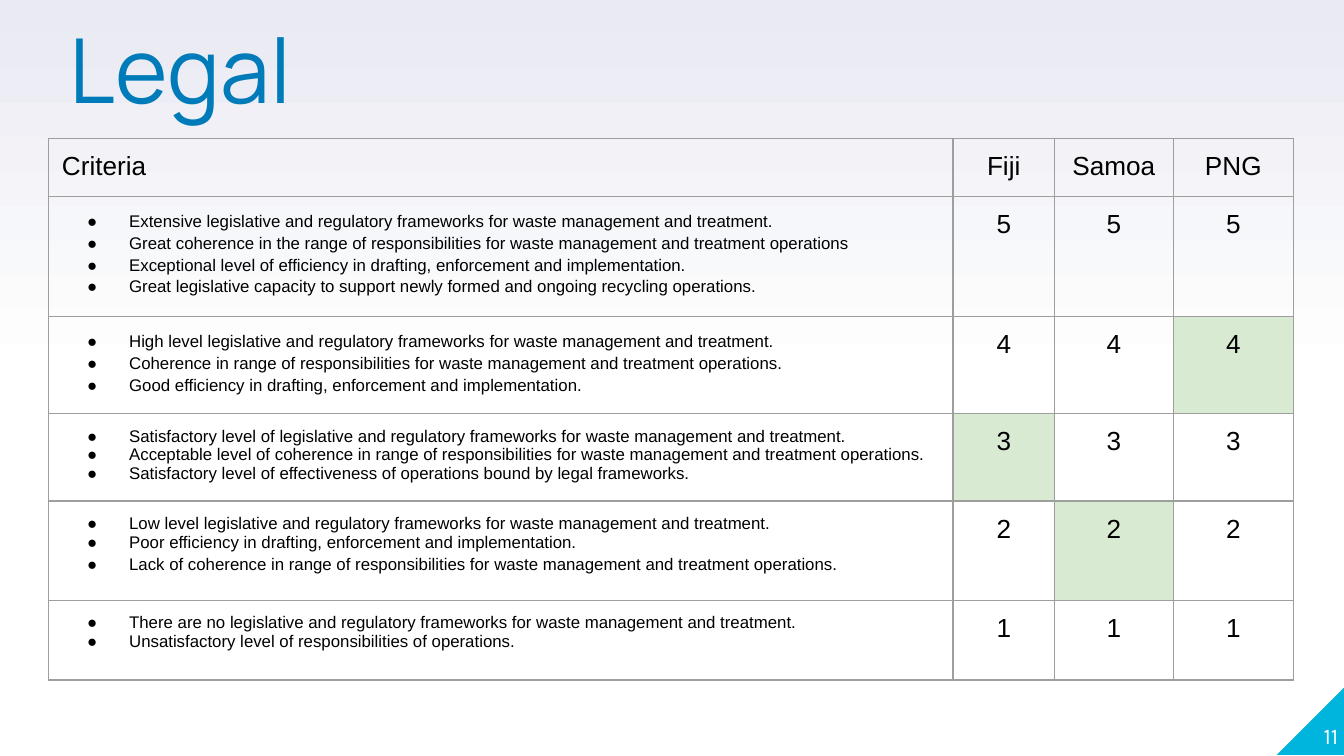
from copy import deepcopy

from pptx import Presentation
from pptx.dml.color import RGBColor
from pptx.enum.shapes import MSO_SHAPE as Shape
from pptx.enum.text import MSO_ANCHOR as Anchor, MSO_AUTO_SIZE as AutoSize, PP_ALIGN as Align
from pptx.oxml import parse_xml
from pptx.oxml.ns import nsdecls, qn
from pptx.util import Pt

BLACK = RGBColor(0, 0, 0)
WHITE = RGBColor(255, 255, 255)
LAVENDER = RGBColor(0xE9, 0xEA, 0xF2)
BLUE = RGBColor(0x00, 0x7B, 0xB9)
CYAN = RGBColor(0x00, 0xB5, 0xDD)
GREEN = RGBColor(0xD9, 0xEA, 0xD3)
GREY = RGBColor(0x9E, 0x9E, 0x9E)

TITLE = "Legal"
PAGE_NUMBER = "11"
HEADINGS = ["Criteria", "Fiji", "Samoa", "PNG"]
LOOSE, SINGLE = 1.15, 1.0
# Score, then its criteria with their line spacing
LEVELS = [
    (5, [
        ("Extensive legislative and regulatory frameworks for waste management and treatment.", LOOSE),
        ("Great coherence in the range of responsibilities for waste management and treatment operations", LOOSE),
        ("Exceptional level of efficiency in drafting, enforcement and implementation.", LOOSE),
        ("Great legislative capacity to support newly formed and ongoing recycling operations.", LOOSE),
    ]),
    (4, [
        ("High level legislative and regulatory frameworks for waste management and treatment.", LOOSE),
        ("Coherence in range of responsibilities for waste management and treatment operations.", LOOSE),
        ("Good efficiency in drafting, enforcement and implementation.", LOOSE),
    ]),
    (3, [
        ("Satisfactory level of legislative and regulatory frameworks for waste management and treatment.", SINGLE),
        ("Acceptable level of coherence in range of responsibilities for waste management and treatment operations.",
         SINGLE),
        ("Satisfactory level of effectiveness of operations bound by legal frameworks.", SINGLE),
    ]),
    (2, [
        ("Low level legislative and regulatory frameworks for waste management and treatment.", SINGLE),
        ("Poor efficiency in drafting, enforcement and implementation.", SINGLE),
        ("Lack of coherence in range of responsibilities for waste management and treatment operations.", LOOSE),
    ]),
    (1, [
        ("There are no legislative and regulatory frameworks for waste management and treatment.", SINGLE),
        ("Unsatisfactory level of responsibilities of operations.", SINGLE),
    ]),
]
COUNTRY_SCORES = {"Fiji": 3, "Samoa": 2, "PNG": 4}
COLUMN_WIDTHS = [484.5, 54.5, 63.5, 64.5]
ROW_HEIGHTS = [31, 63.8, 52, 44.4, 53.2, 42.8]
INSET = 7.2


def set_margins(target, size):
    for side in ("left", "top", "right", "bottom"):
        setattr(target, f"margin_{side}", Pt(size))


def write(paragraph, text, font, size, color, align=Align.LEFT):
    paragraph.alignment = align
    run = paragraph.add_run()
    run.text = text
    for name, value in {"name": font, "size": Pt(size)}.items():
        setattr(run.font, name, value)
    run.font.color.rgb = color


def add_bullet(paragraph):
    properties = paragraph._p.get_or_add_pPr()
    properties.set("marL", str(Pt(36)))
    properties.set("indent", str(Pt(-22.5)))
    for xml in (f'<a:buClr {nsdecls("a")}><a:srgbClr val="{BLACK}"/></a:buClr>',
                f'<a:buFont {nsdecls("a")} typeface="Arial"/>',
                f'<a:buChar {nsdecls("a")} char="●"/>'):
        properties.append(parse_xml(xml))


def format_cell(cell, fill=None):
    set_margins(cell, INSET)
    properties = cell._tc.get_or_add_tcPr()
    for edge in ("lnL", "lnR", "lnT", "lnB"):
        properties.append(parse_xml(
            f'<a:{edge} {nsdecls("a")} w="{Pt(0.75)}"><a:solidFill>'
            f'<a:srgbClr val="{GREY}"/></a:solidFill></a:{edge}>'))
    if fill is None:
        cell.fill.background()
    else:
        cell.fill.solid()
        cell.fill.fore_color.rgb = fill


def set_background(slide):
    """Fade from white in the lower half to lavender at the top."""
    fill = slide.background.fill
    fill.gradient()
    fill.gradient_angle = 90
    first = next(slide.element.iter(qn("a:gs")))
    first.addnext(deepcopy(first))
    for stop, (position, color) in zip(fill.gradient_stops, [(0, WHITE), (0.5, WHITE), (1, LAVENDER)]):
        stop.position = position
        stop.color.rgb = color


def add_page_corner(slide):
    corner = slide.shapes.add_shape(Shape.RIGHT_TRIANGLE, Pt(684), Pt(368), Pt(36.5), Pt(36.5))
    corner.shadow.inherit = False
    corner.fill.solid()
    corner.fill.fore_color.rgb = CYAN
    corner.line.fill.background()
    corner._element.spPr.xfrm.set("flipH", "1")

    number = slide.shapes.add_textbox(Pt(681), Pt(365), Pt(36), Pt(36.5)).text_frame
    number.word_wrap = True
    number.vertical_anchor = Anchor.BOTTOM
    set_margins(number, 0)
    write(number.paragraphs[0], PAGE_NUMBER, "Karla", 12, WHITE, Align.RIGHT)


def add_title(slide):
    title = slide.shapes.title
    for name, value in {"left": 30, "top": 0, "width": 487.5, "height": 36.5}.items():
        setattr(title, name, Pt(value))
    frame = title.text_frame
    for name, value in {"word_wrap": True, "auto_size": AutoSize.NONE,
                        "vertical_anchor": Anchor.TOP}.items():
        setattr(frame, name, value)
    set_margins(frame, INSET)
    write(frame.paragraphs[0], TITLE, "Manrope", 48, BLUE)


def add_score_table(slide):
    table = slide.shapes.add_table(
        len(ROW_HEIGHTS), len(COLUMN_WIDTHS), Pt(26), Pt(74),
        Pt(sum(COLUMN_WIDTHS)), Pt(sum(ROW_HEIGHTS))).table
    table.first_row = table.horz_banding = False
    for column, width in zip(table.columns, COLUMN_WIDTHS):
        column.width = Pt(width)
    for row, height in zip(table.rows, ROW_HEIGHTS):
        row.height = Pt(height)

    for index, heading in enumerate(HEADINGS):
        cell = table.cell(0, index)
        format_cell(cell)
        write(cell.text_frame.paragraphs[0], heading, "Arial", 14, BLACK,
              Align.CENTER if index else Align.LEFT)

    for row, (score, criteria) in enumerate(LEVELS, start=1):
        cell = table.cell(row, 0)
        format_cell(cell)
        frame = cell.text_frame
        for index, (criterion, spacing) in enumerate(criteria):
            paragraph = frame.add_paragraph() if index else frame.paragraphs[0]
            add_bullet(paragraph)
            paragraph.line_spacing = spacing
            write(paragraph, criterion, "Arial", 9, BLACK)
        for column, country in enumerate(HEADINGS[1:], start=1):
            cell = table.cell(row, column)
            format_cell(cell, GREEN if COUNTRY_SCORES[country] == score else None)
            write(cell.text_frame.paragraphs[0], str(score), "Arial", 14, BLACK, Align.CENTER)


def main():
    deck = Presentation()
    deck.slide_width, deck.slide_height = Pt(720), Pt(405)
    slide = deck.slides.add_slide(deck.slide_layouts.get_by_name("Title Only"))
    set_background(slide)
    add_page_corner(slide)
    add_title(slide)
    add_score_table(slide)
    deck.save("out.pptx")


if __name__ == "__main__":
    main()
